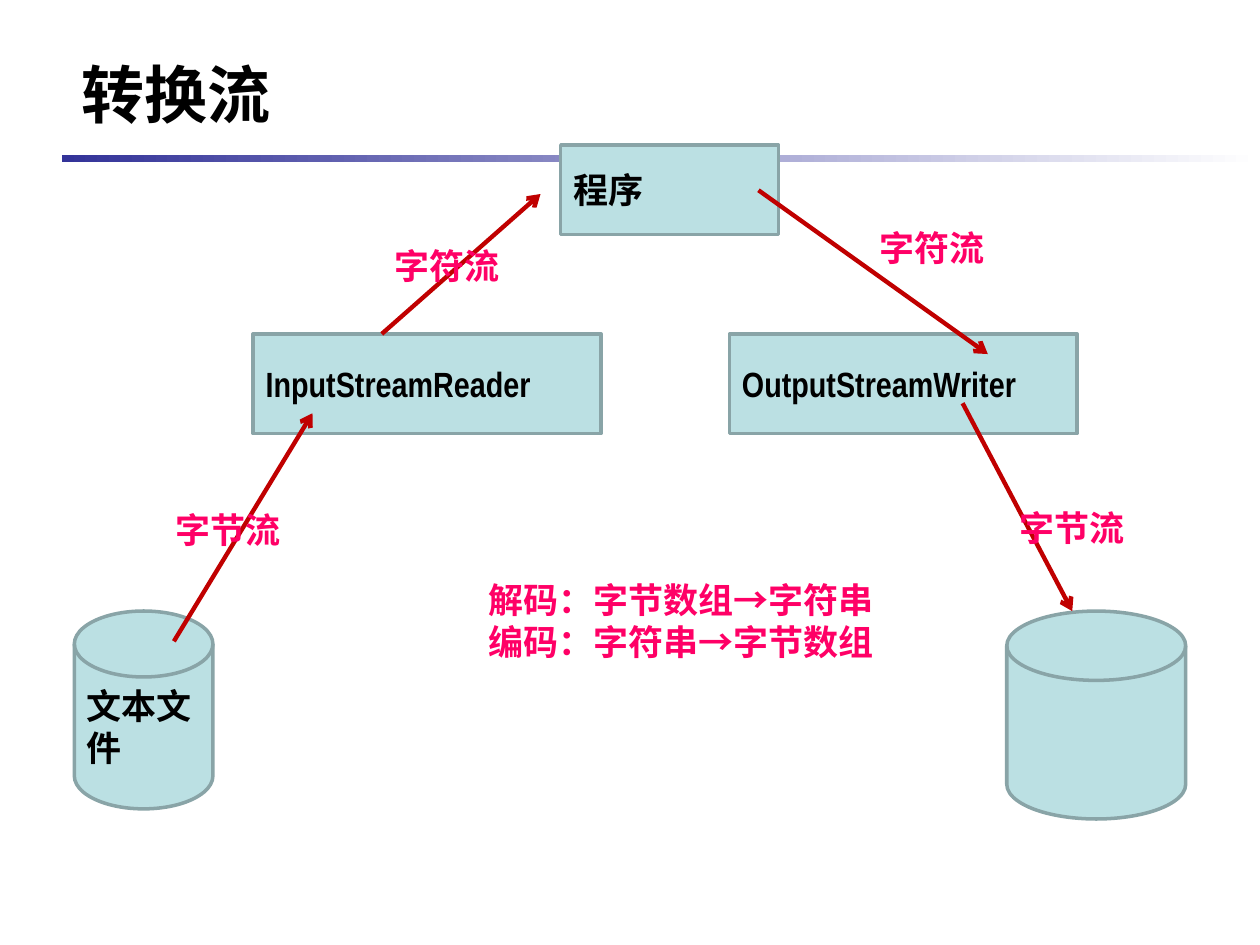
from pptx import Presentation
from pptx.dml.color import RGBColor
from pptx.enum.shapes import MSO_CONNECTOR, MSO_SHAPE
from pptx.enum.text import MSO_ANCHOR, PP_ALIGN
from pptx.oxml.ns import qn
from pptx.util import Inches, Pt
from lxml import etree

RECT = MSO_SHAPE.RECTANGLE
DISK = MSO_SHAPE.FLOWCHART_MAGNETIC_DISK
LINE = MSO_CONNECTOR.STRAIGHT
LEFT, MID = PP_ALIGN.LEFT, PP_ALIGN.CENTER
TOP, CORE = MSO_ANCHOR.TOP, MSO_ANCHOR.MIDDLE


def tint(code):
    return RGBColor.from_string(code)


class Deck:
    """Hold the style and the current slide, and draw each kind of element."""

    body = {"name": "Arial Narrow", "size": Pt(20), "bold": True}
    head = {**body, "size": Pt(36)}
    note = {**body, "name": "Times New Roman"}
    black, pink, red = "000000", "FF0066", "C00000"
    fill, edge = "BBE0E3", "89A4A7"

    def __init__(self, show):
        self.slide = show.slides.add_slide(show.slide_layouts[6])

    def label(self, shape, rows, style, color, align, anchor):
        frame = shape.text_frame
        frame.word_wrap = True
        frame.vertical_anchor = anchor
        for i, row in enumerate(rows):
            para = frame.add_paragraph() if i else frame.paragraphs[0]
            para.alignment = align
            for text in row:
                run = para.add_run()
                run.text = text
                for key, value in style.items():
                    setattr(run.font, key, value)
                if text == "→":
                    run.font.name = "Arial"
                run.font.color.rgb = tint(color)

    def shape(self, kind, box):
        shape = self.slide.shapes.add_shape(kind, *map(Inches, box))
        shape.shadow.inherit = False
        return shape

    def rule(self, box, *ends):
        bar = self.shape(RECT, box)
        bar.line.fill.background()
        bar.fill.gradient()
        bar.fill.gradient_angle = 0
        for i, (stop, code) in enumerate(zip(bar.fill.gradient_stops, ends)):
            stop.position = i
            stop.color.rgb = tint(code)

    def node(self, kind, box, text=""):
        node = self.shape(kind, box)
        node.fill.solid()
        node.fill.fore_color.rgb = tint(self.fill)
        node.line.color.rgb = tint(self.edge)
        node.line.width = Pt(2)
        if text:
            self.label(node, [[text]], self.body, self.black, LEFT, CORE)

    def arrow(self, ends):
        arrow = self.slide.shapes.add_connector(LINE, *map(Inches, ends))
        arrow.line.color.rgb = tint(self.red)
        arrow.line.width = Pt(2.5)
        props = arrow._element.spPr
        etree.SubElement(props.find(qn("a:ln")), qn("a:tailEnd"), type="arrow")
        etree.SubElement(props, qn("a:effectLst"))

    def text(self, box, rows, style=note, color=pink, align=MID):
        area = self.slide.shapes.add_textbox(*map(Inches, box))
        self.label(area, rows, style, color, align, TOP)


def main():
    show = Presentation()
    show.slide_width, show.slide_height = Inches(10), Inches(7.5)
    deck = Deck(show)
    deck.rule((0.49, 1.23, 9.51, 0.06), "333399", "FFFFFF")
    deck.text((0.55, 0.39, 5.1, 0.7), [["转换流"]], deck.head, deck.black, LEFT)

    for kind, box, text in (
        (DISK, (0.59, 4.85, 1.1, 1.57), "文本文件"),
        (RECT, (2.01, 2.65, 2.76, 0.79), "InputStreamReader"),
        (RECT, (4.45, 1.15, 1.73, 0.71), "程序"),
        (RECT, (5.79, 2.65, 2.76, 0.79), "OutputStreamWriter"),
        (DISK, (7.99, 4.85, 1.42, 1.65), ""),
    ):
        deck.node(kind, box, text)

    for ends in (
        (1.38, 5.09, 2.48, 3.28),
        (3.03, 2.65, 4.29, 1.54),
        (6.02, 1.51, 7.84, 2.81),
        (7.64, 3.2, 8.51, 4.85),
    ):
        deck.arrow(ends)

    for left, top, width, text in (
        (1.14, 3.99, 1.34, "字节流"),
        (2.8, 1.89, 1.5, "字符流"),
        (6.57, 1.75, 1.65, "字符流"),
        (7.88, 3.97, 1.26, "字节流"),
    ):
        deck.text((left, top, width, 0.44), [[text]])

    deck.text((3.5, 4.54, 3.81, 0.77), [
        ["解码：字节数组", "→", "字符串"],
        ["编码：字符串", "→", "字节数组"],
    ])
    show.save("out.pptx")


if __name__ == "__main__":
    main()
